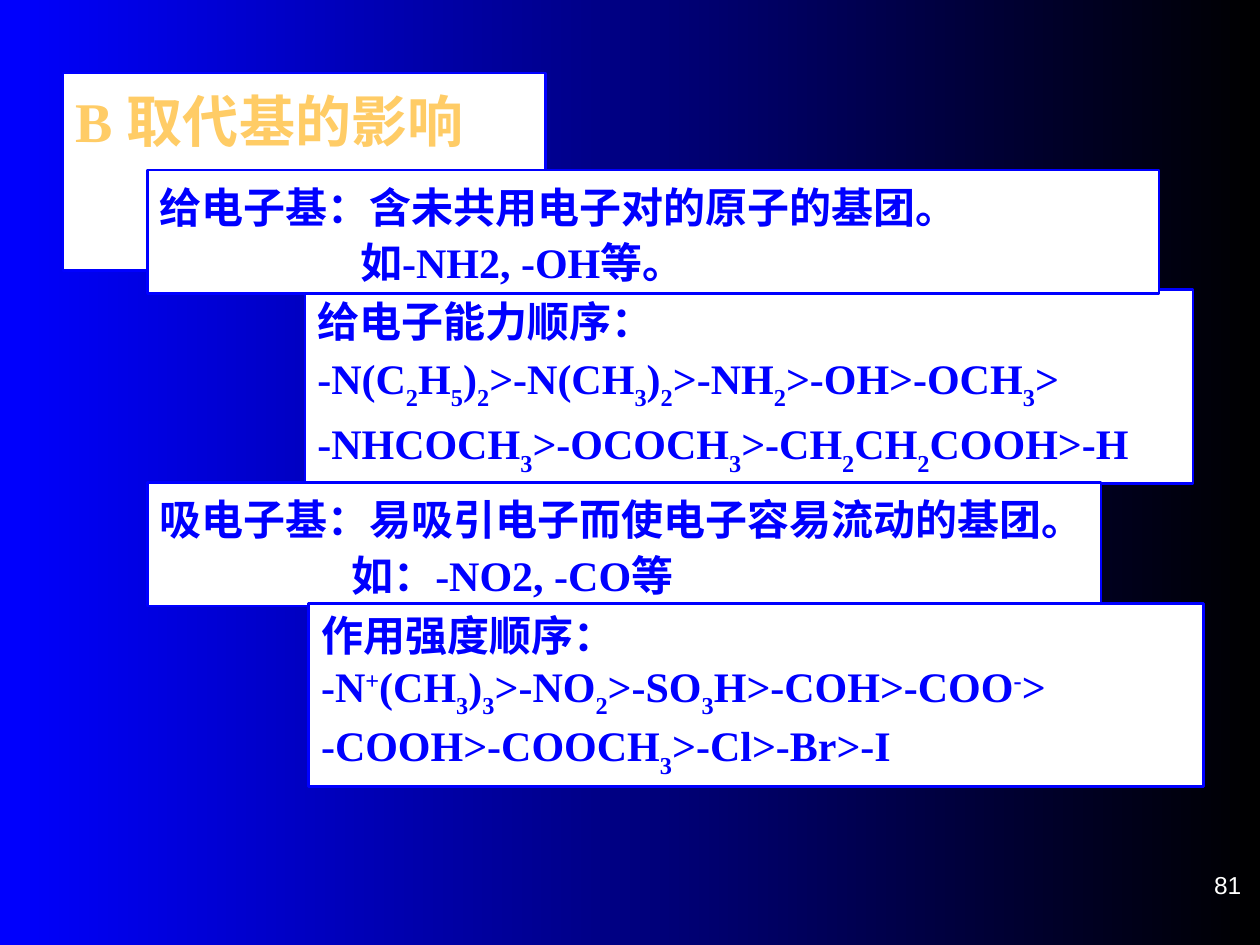
from pptx import Presentation
from pptx.dml.color import RGBColor
from pptx.enum.shapes import MSO_SHAPE
from pptx.enum.text import MSO_ANCHOR, MSO_AUTO_SIZE, PP_ALIGN
from pptx.util import Inches, Pt

RECT = MSO_SHAPE.RECTANGLE
TOP, BOTTOM = MSO_ANCHOR.TOP, MSO_ANCHOR.BOTTOM
LEFT, RIGHT = PP_ALIGN.LEFT, PP_ALIGN.RIGHT
GROW = MSO_AUTO_SIZE.SHAPE_TO_FIT_TEXT
BLUE, WHITE, BLACK, GOLD = "0000FF", "FFFFFF", "000000", "FFCC66"
SERIF, SANS = "Times New Roman", "Arial"

# Content: each line is (text, line spacing, indent); |x| marks a raised
# charge or a lowered count
TITLE = ((0.5, 0.58, 3.83, 0.69), [("B 取代基的影响", 1.1, 0)])
BOXES = [
    ((2.42, 2.3, 7.05, 1.54), [
        ("给电子能力顺序：", 1, 0),
        ("-N(C|2|H|5|)|2|>-N(CH|3|)|2|>-NH|2|>-OH>-OCH|3|>", 1.1, 0),
        ("-NHCOCH|3|>-OCOCH|3|>-CH|2|CH|2|COOH>-H", 1.1, 0)]),
    ((1.17, 1.35, 8.03, 0.98), [
        ("给电子基：含未共用电子对的原子的基团。", 1.1, 0),
        ("如-NH2, -OH等。", 1.1, 1.59)]),
    ((1.17, 3.83, 7.57, 0.98), [
        ("吸电子基：易吸引电子而使电子容易流动的基团。", 1.1, 0),
        ("如：-NO2, -CO等", 1.1, 1.52)]),
    ((2.45, 4.79, 7.1, 1.45), [
        ("作用强度顺序：", 1, 0),
        ("-N|+|(CH|3|)|3|>-NO|2|>-SO|3|H>-COH>-COO|-|>", 1, 0),
        ("-COOH>-COOCH|3|>-Cl>-Br>-I", 1, 0)]),
]
NUMBER = ((7.87, 6.72, 2.08, 0.42), [("81", 1, 0)])


def color(code):
    return RGBColor.from_string(code)


def place(shape, spot):
    shape.left, shape.top, shape.width, shape.height = map(Inches, spot)


def write(shape, lines, size, ink, font=SERIF, bold=True, align=LEFT):
    frame = shape.text_frame
    for i, (text, space, indent) in enumerate(lines):
        para = frame.add_paragraph() if i else frame.paragraphs[0]
        para.alignment, para.line_spacing = align, space
        para.space_before = Pt(0)
        if indent:
            props = para._p.get_or_add_pPr()
            props.set("marL", str(Inches(indent)))
            props.set("indent", "0")
        for j, part in enumerate(text.split("|")):
            run = para.add_run()
            run.text = part
            run.font.name, run.font.size, run.font.bold = font, Pt(size), bold
            run.font.color.rgb = color(ink)
            if j % 2:
                shift = "30000" if part in "+-" else "-30000"
                run._r.get_or_add_rPr().set("baseline", shift)


def panel(shape, spot, lines, size, ink):
    place(shape, spot)
    shape.fill.solid()
    shape.fill.fore_color.rgb = color(WHITE)
    shape.line.color.rgb = color(BLUE)
    shape.line.width = Pt(1.5)
    shape.shadow.inherit = False
    frame = shape.text_frame
    frame.word_wrap, frame.auto_size = True, GROW
    frame.vertical_anchor = TOP
    write(shape, lines, size, ink)


deck = Presentation()
deck.slide_width, deck.slide_height = Inches(10), Inches(7.5)
slide = deck.slides.add_slide(deck.slide_layouts[5])

# Background
back = slide.background.fill
back.gradient()
back.gradient_angle = 0
for stop, code in zip(back.gradient_stops, (BLUE, BLACK)):
    stop.color.rgb = color(code)

# Title and stacked panels
panel(slide.shapes.title, *TITLE, 32, GOLD)
for spot, lines in BOXES:
    box = slide.shapes.add_shape(RECT, *map(Inches, spot))
    panel(box, spot, lines, 24, BLUE)

# Page number
spot, lines = NUMBER
page = slide.shapes.add_textbox(*map(Inches, spot))
page.text_frame.word_wrap = True
page.text_frame.vertical_anchor = BOTTOM
page.text_frame.margin_top = page.text_frame.margin_bottom = 0
write(page, lines, 14, WHITE, SANS, False, RIGHT)

deck.save("out.pptx")
